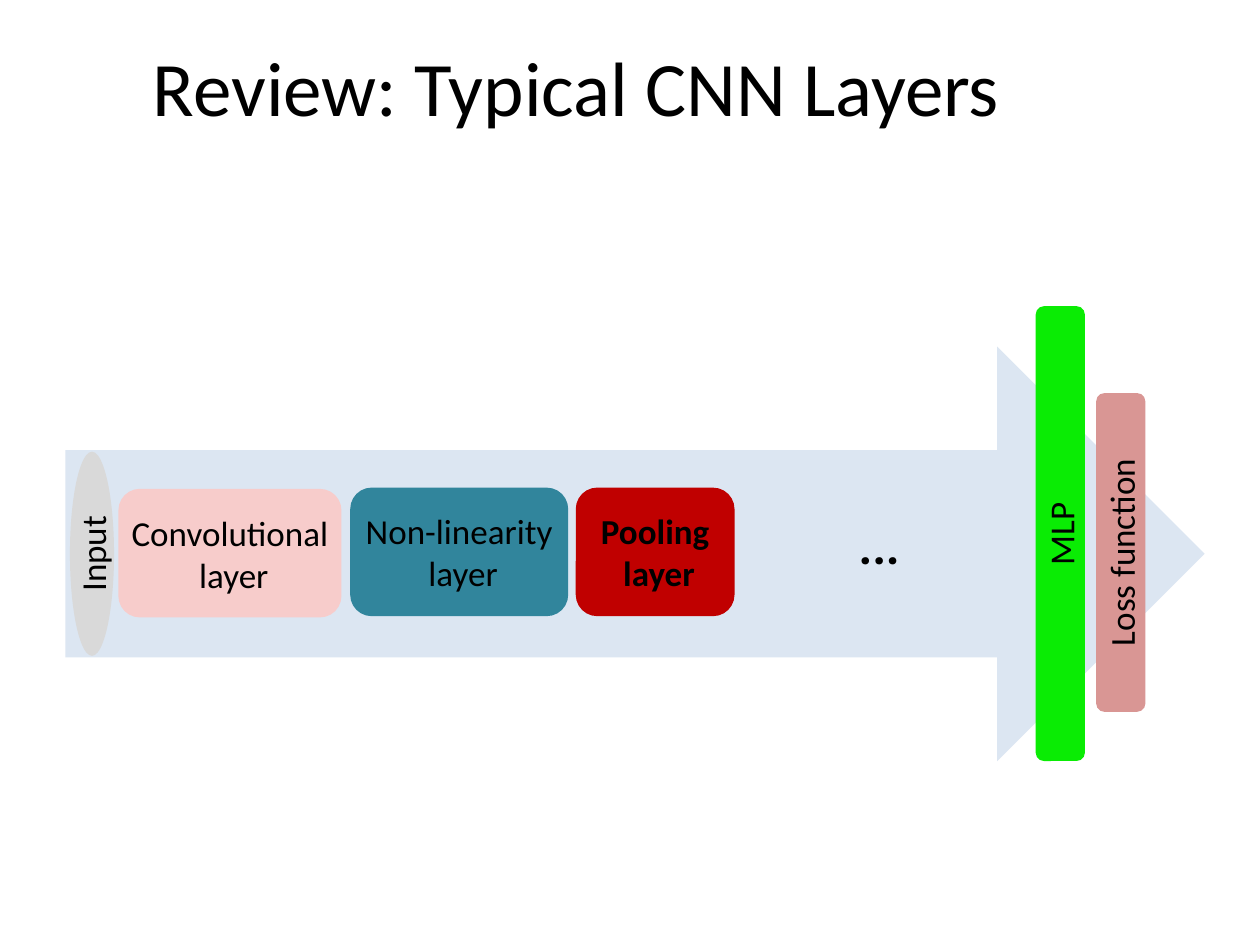
import pptx
import pptx.util
from pptx.dml.color import RGBColor
from pptx.enum.shapes import MSO_SHAPE
from pptx.enum.text import MSO_ANCHOR, MSO_AUTO_SIZE, PP_ALIGN
from pptx.util import Inches

# Content: name, shape, position (left, top, width, height), fill, text, bold, vertical
TITLE = "Review: Typical CNN Layers "
ROUND = MSO_SHAPE.ROUNDED_RECTANGLE
LAYERS = [
    ((0.94, 3.88, 1.77, 1.02), "F7CCCB", "Convolutional\n layer", False),
    ((2.78, 3.87, 1.73, 1.02), "31859C", "Non-linearity\n layer", False),
    ((4.57, 3.87, 1.26, 1.02), "C00000", "Pooling\n layer", True),
]
LOSS_BAR = ((8.7, 3.12, 0.39, 2.53), "D99694", "Loss function")
MLP_BAR = ((8.22, 2.43, 0.39, 3.61), "0AEC04", "MLP")


def color(value):
    return RGBColor.from_string(value)


def write(box, text, size, font="Calibri", bold=False):
    frame = box.text_frame
    frame.word_wrap = True
    frame.text = text
    for para in frame.paragraphs:
        para.alignment = PP_ALIGN.CENTER
        for span in para.runs:
            span.font.name = font
            span.font.size = pptx.util.Pt(size)
            span.font.bold = bold
            span.font.color.rgb = color("000000")
    return frame


def add_block(page, kind, position, fill, text="", bold=False):
    block = page.shapes.add_shape(kind, *map(Inches, position))
    block.shadow.inherit = False
    block.fill.solid()
    block.fill.fore_color.rgb = color(fill)
    block.line.fill.background()
    if text:
        frame = write(block, text, 20, bold=bold)
        frame.vertical_anchor = MSO_ANCHOR.MIDDLE
        frame.margin_left = frame.margin_right = 0
        frame.margin_top = frame.margin_bottom = 0
    return block


def add_bar(page, position, fill, text):
    bar = add_block(page, ROUND, position, fill, text)
    bar.text_frame._txBody.bodyPr.set("vert", "vert270")


deck = pptx.Presentation()
deck.slide_width, deck.slide_height = Inches(10), Inches(7.5)
page = deck.slides.add_slide(deck.slide_layouts[5])

# Title
title = page.shapes.title
title.left, title.top, title.width, title.height = map(Inches, (-0.04, 0.26, 9.37, 1.25))
title_frame = write(title, TITLE, 44)
title_frame.vertical_anchor = MSO_ANCHOR.TOP
title_frame.auto_size = MSO_AUTO_SIZE.NONE

# Arrow with the layers on it
add_block(page, MSO_SHAPE.RIGHT_ARROW, (0.52, 2.75, 9.04, 3.29), "DCE6F2")
for position, fill, text, bold in LAYERS:
    add_block(page, ROUND, position, fill, text, bold)
add_bar(page, *LOSS_BAR)

# Ellipsis for further layers
dots = page.shapes.add_textbox(*map(Inches, (6.58, 4.1, 0.79, 0.51)))
write(dots, "…", 24, "Vollkorn", True)

# Output bar and rotated input
add_bar(page, *MLP_BAR)
input_oval = add_block(page, MSO_SHAPE.OVAL, (-0.08, 4.22, 1.62, 0.35), "D9D9D9", "Input")
input_oval.rotation = 270

deck.save("out.pptx")
